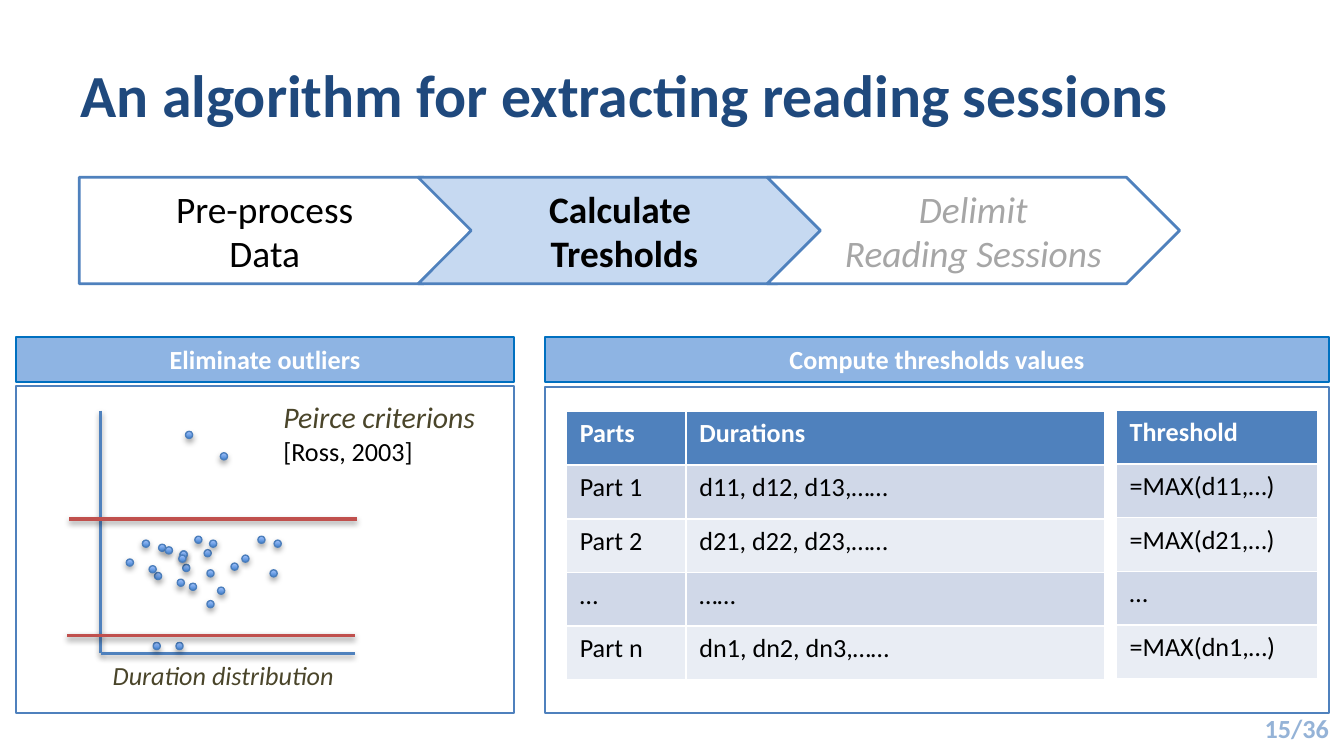
from lxml import etree
from pptx import Presentation
from pptx.dml.color import RGBColor
from pptx.enum.shapes import MSO_CONNECTOR, MSO_SHAPE
from pptx.enum.text import MSO_ANCHOR, PP_ALIGN
from pptx.oxml.ns import qn
from pptx.util import Pt

LINE = MSO_CONNECTOR.STRAIGHT
RECT, OVAL = MSO_SHAPE.RECTANGLE, MSO_SHAPE.OVAL
PENTAGON, CHEVRON = MSO_SHAPE.PENTAGON, MSO_SHAPE.CHEVRON
TOP, MIDDLE = MSO_ANCHOR.TOP, MSO_ANCHOR.MIDDLE
LEFT, CENTER, RIGHT = PP_ALIGN.LEFT, PP_ALIGN.CENTER, PP_ALIGN.RIGHT

BLUE, RED, WHITE, BLACK, OLIVE = "4F81BD", "C0504D", "FFFFFF", "000000", "4A452A"
BANDS = ["D0D8E8", "E9EDF4"]
ROW_HEIGHT = 28.8
DOT_SIZE = 3.8

STEPS = [
    (PENTAGON, 42.5, 213, None, "Pre-process\nData", {}),
    (CHEVRON, 224, 221, "C6D9F1", "Calculate \nTresholds", {"bold": True}),
    (CHEVRON, 411, 221, WHITE, "Delimit\nReading Sessions",
     {"color": "A6A6A6", "italic": True}),
]
DOTS = [
    (85, 291.6), (82.8, 306.7), (101.5, 312.5), (97.9, 302.4), (123.8, 301.7),
    (109.4, 294.5), (116.6, 314.6), (96.5, 295.2), (110.9, 321.8), (76.3, 289.4),
    (67.7, 299.5), (99.4, 231.1), (118.1, 242.6), (82.1, 344.2), (94.3, 344.2),
    (96.5, 295.2), (95, 310.3), (88.6, 293), (79.9, 303.1), (112.3, 289.4),
    (110.9, 305.3), (104.4, 287.3), (95.8, 297.4), (146.9, 289.4), (144.7, 305.3),
    (138.2, 287.3), (129.6, 297.4),
]
DURATIONS = [
    ("Parts", "Durations"),
    ("Part 1", "d11, d12, d13,……"),
    ("Part 2", "d21, d22, d23,……"),
    ("…", "……"),
    ("Part n", "dn1, dn2, dn3,……"),
]
THRESHOLDS = [("Threshold",), ("=MAX(d11,…)",), ("=MAX(d21,…)",), ("…",),
              ("=MAX(dn1,…)",)]


def rgb(color):
    return RGBColor.from_string(color)


def write(p, text, size=14, color=BLACK, bold=False, italic=False, align=LEFT):
    p.alignment = align
    r = p.add_run()
    r.text = text
    r.font.name = "Calibri"
    r.font.size = Pt(size)
    r.font.bold = bold
    r.font.italic = italic
    r.font.color.rgb = rgb(color)


def write_lines(tf, text, **fmt):
    for i, line in enumerate(text.split("\n")):
        write(tf.add_paragraph() if i else tf.paragraphs[0], line, **fmt)


def set_shadow(s, alpha=None, dist=1.6):
    effects = etree.SubElement(s._element.spPr, qn("a:effectLst"))
    if alpha:
        shadow = etree.SubElement(effects, qn("a:outerShdw"), blurRad=str(Pt(3.1)),
                                  dist=str(Pt(dist)), dir="5400000", rotWithShape="0")
        color = etree.SubElement(shadow, qn("a:srgbClr"), val=BLACK)
        etree.SubElement(color, qn("a:alpha"), val=str(alpha * 1000))


def add_shape(slide, kind, x, y, w, h, fill=None, line=BLUE, width=1):
    s = slide.shapes.add_shape(kind, Pt(x), Pt(y), Pt(w), Pt(h))
    if fill:
        s.fill.solid()
        s.fill.fore_color.rgb = rgb(fill)
    else:
        s.fill.background()
    s.line.color.rgb = rgb(line)
    s.line.width = Pt(width)
    set_shadow(s)
    return s


def add_text(slide, x, y, w, h, anchor=TOP):
    tf = slide.shapes.add_textbox(Pt(x), Pt(y), Pt(w), Pt(h)).text_frame
    tf.word_wrap = True
    tf.vertical_anchor = anchor
    return tf


def add_step(slide, kind, x, w, fill, text, fmt):
    s = add_shape(slide, kind, x, 95, w, 57, fill, width=1.5)
    s.text_frame.vertical_anchor = MIDDLE
    write_lines(s.text_frame, text, size=20, align=CENTER, **fmt)


def add_panel(slide, x, y, w, title):
    add_shape(slide, RECT, x, y, w, 382 - y, WHITE)
    s = add_shape(slide, RECT, x, 180.5, w, 24.2, "8EB4E3", "0070C0")
    s.text_frame.vertical_anchor = TOP
    write_lines(s.text_frame, title, color=WHITE, bold=True, align=CENTER)


def add_line(slide, x1, y1, x2, y2, color=BLUE, width=1.5):
    s = slide.shapes.add_connector(LINE, Pt(x1), Pt(y1), Pt(x2), Pt(y2))
    s.line.color.rgb = rgb(color)
    s.line.width = Pt(width)
    set_shadow(s, alpha=38)


def add_dot(slide, x, y):
    s = slide.shapes.add_shape(OVAL, Pt(x), Pt(y), Pt(DOT_SIZE), Pt(DOT_SIZE))
    s.fill.gradient()
    s.fill.gradient_angle = 90
    for stop, color in zip(s.fill.gradient_stops, ("3F80CE", "A4C4FF")):
        stop.color.rgb = rgb(color)
    s.line.color.rgb = rgb("4B7EBC")
    s.line.width = Pt(0.75)
    set_shadow(s, alpha=35, dist=1.8)


def add_table(slide, x, y, widths, rows):
    table = slide.shapes.add_table(len(rows), len(widths), Pt(x), Pt(y),
                                   Pt(sum(widths)), Pt(ROW_HEIGHT * len(rows))).table
    for column, width in zip(table.columns, widths):
        column.width = Pt(width)
    for i, row in enumerate(rows):
        header = i == 0
        for j, text in enumerate(row):
            cell = table.cell(i, j)
            cell.fill.solid()
            cell.fill.fore_color.rgb = rgb(BLUE if header else BANDS[(i - 1) % 2])
            write_lines(cell.text_frame, text, bold=header,
                        color=WHITE if header else BLACK)


def add_scatter(slide):
    add_line(slide, 54, 220, 54, 350)
    add_line(slide, 54, 350, 190, 350)
    for x, y in DOTS:
        add_dot(slide, x, y)
    write_lines(add_text(slide, 53.3, 350, 176, 24.5), "Duration distribution",
                color=OLIVE, italic=True)
    add_line(slide, 36, 340.5, 190, 340.5, RED, 2)
    add_line(slide, 37, 278, 191, 278, RED, 2)
    p = add_text(slide, 144.7, 210.3, 124.6, 44).paragraphs[0]
    write(p, "Peirce criterions ", size=16, color=OLIVE, italic=True)
    write(p, "[Ross, 2003]")


def main():
    prs = Presentation()
    prs.slide_width, prs.slide_height = Pt(720), Pt(405)
    slide = prs.slides.add_slide(prs.slide_layouts[6])

    tf = add_text(slide, 604, 379.5, 108, 21.6, MIDDLE)
    tf.margin_left = tf.margin_right = 0
    write_lines(tf, "15/36", color="95B3D7", bold=True, align=RIGHT)
    write_lines(add_text(slide, 36, 16.5, 648, 67.7, MIDDLE),
                "An algorithm for extracting reading sessions",
                size=32, color="1F497D", bold=True)
    for step in STEPS:
        add_step(slide, *step)
    add_panel(slide, 292, 207.5, 420, "Compute thresholds values")
    add_panel(slide, 8.5, 207, 267, "Eliminate outliers")
    add_scatter(slide)
    add_table(slide, 303.4, 220.3, [64.1, 224.6], DURATIONS)
    add_table(slide, 598, 219.7, [108], THRESHOLDS)
    prs.save("out.pptx")


if __name__ == "__main__":
    main()
